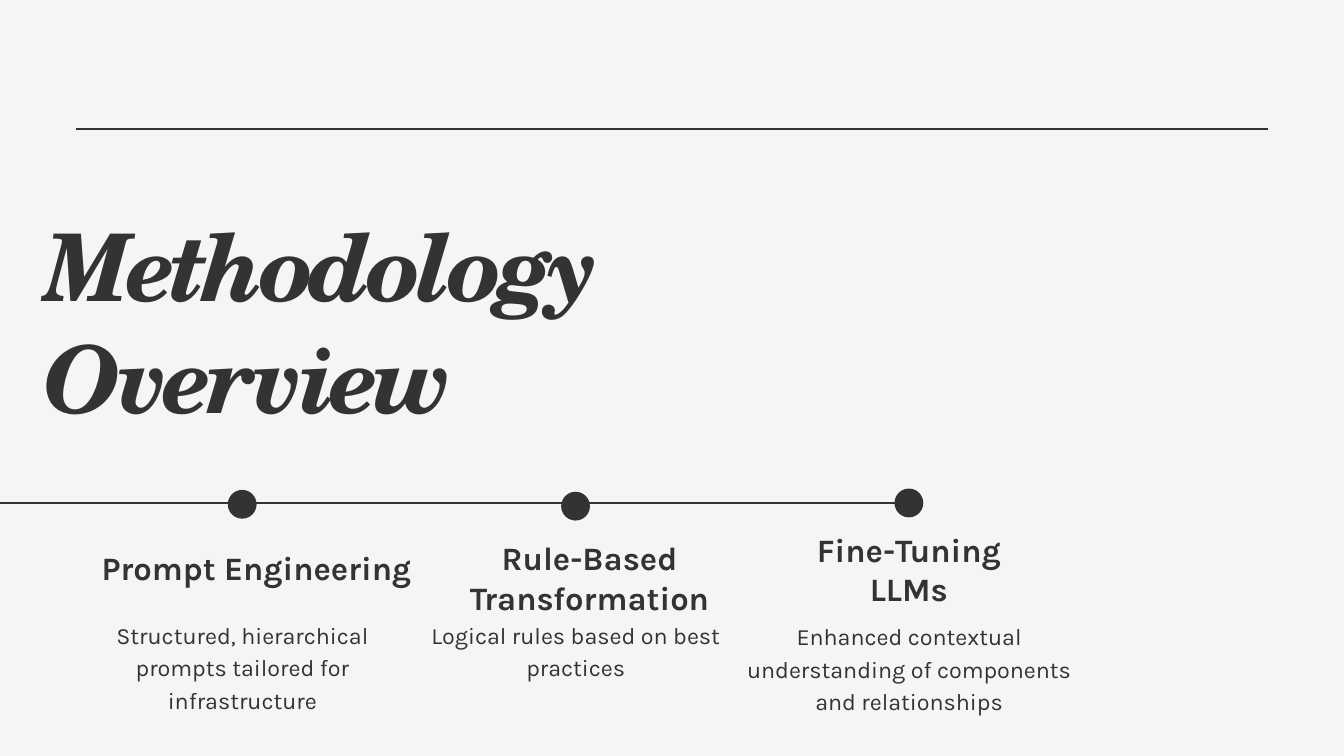
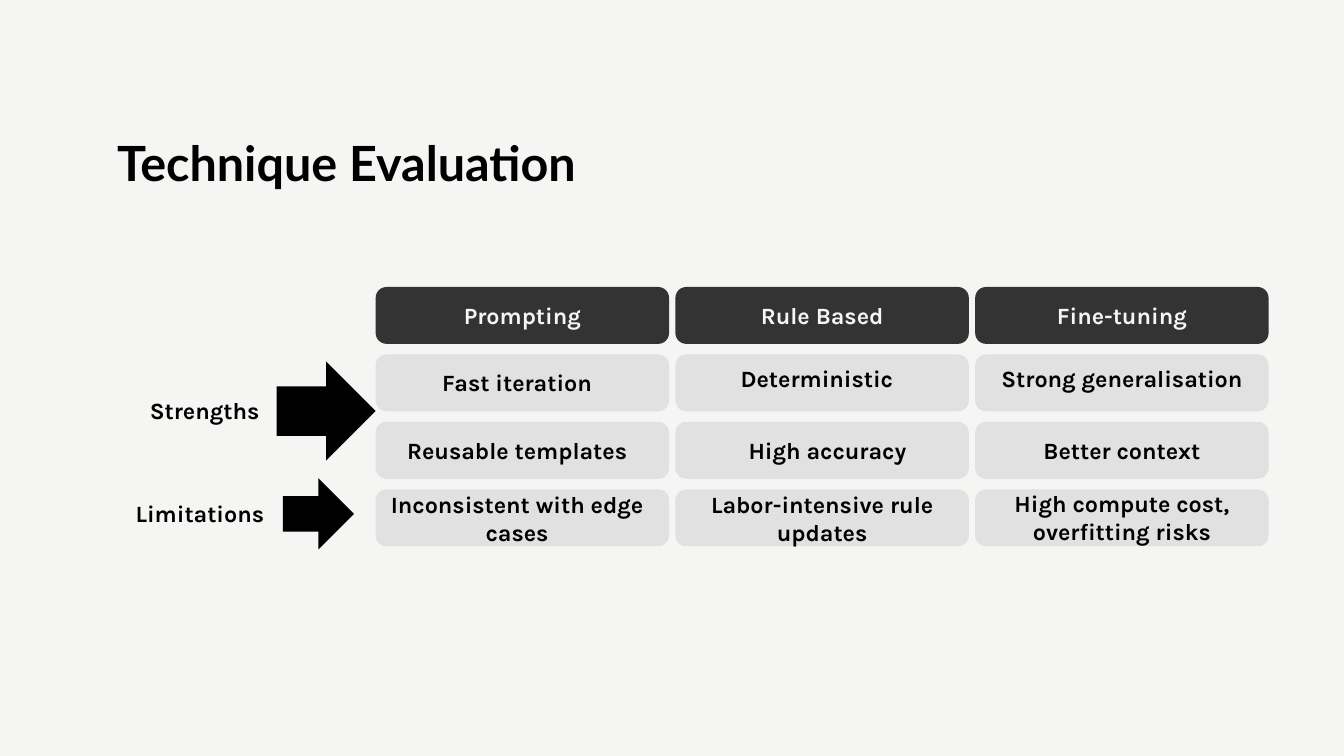
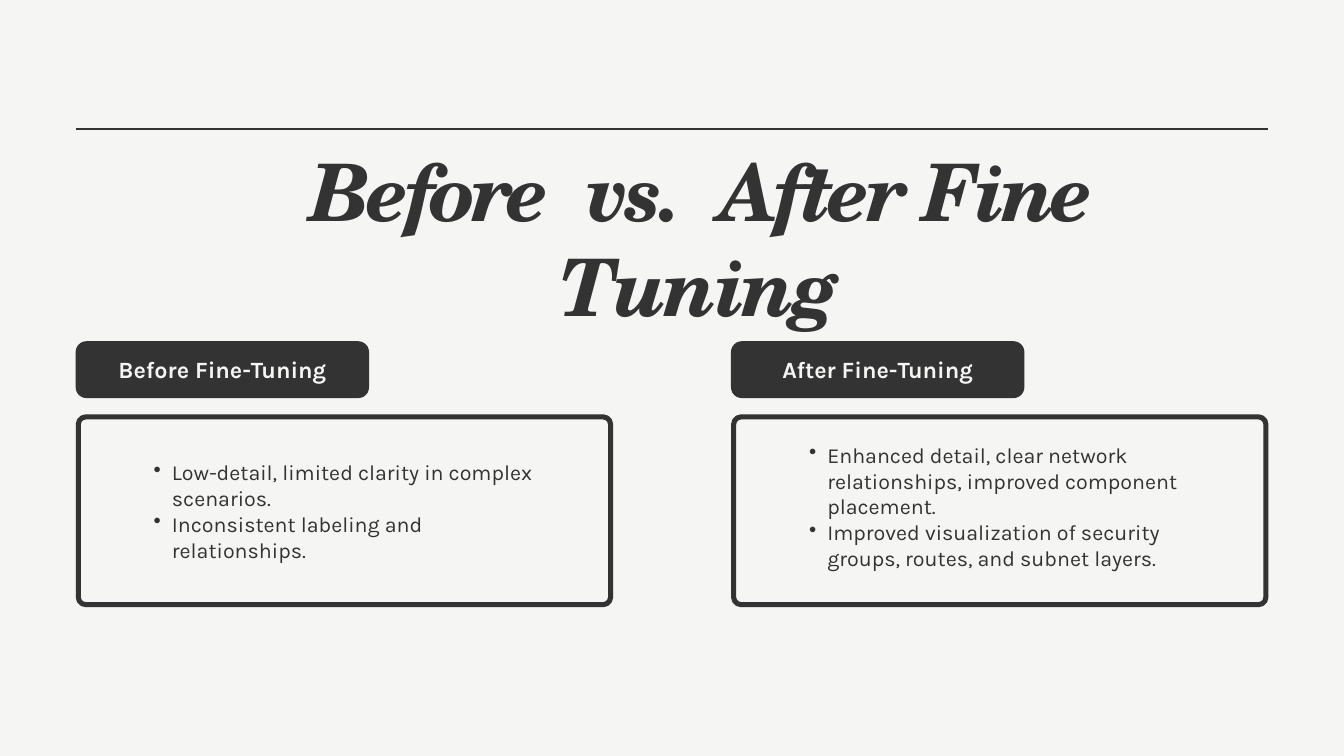
import pptx
import pptx.dml.color
import pptx.enum.shapes
import pptx.enum.text
import pptx.oxml.ns
import pptx.util
from lxml import etree
from pptx.dml.color import RGBColor
from pptx.enum.shapes import MSO_CONNECTOR, MSO_SHAPE
from pptx.enum.text import MSO_AUTO_SIZE, PP_ALIGN
from pptx.util import Cm, Pt

PAPER = RGBColor(0xF5, 0xF5, 0xF4)
INK = RGBColor(0x33, 0x33, 0x33)
CELL = RGBColor(0xE1, 0xE1, 0xE1)
BLACK = RGBColor(0, 0, 0)

SANS, PLAIN, SERIF = "Karla", "Lato", "TeX Gyre Schola"
MARGIN, RIGHT_EDGE, RULE_TOP = 2.86, 47.94, 4.87
PILL_WIDTH, PILL_HEIGHT = 11.09, 2.15
LABEL_WIDTH, LABEL_DX, LABEL_DY = 10.69, 0.2, 0.53


def add_slide(deck):
    page = deck.slides.add_slide(deck.slide_layouts[6])
    page.background.fill.solid()
    page.background.fill.fore_color.rgb = PAPER
    return page


def add_text(page, paragraphs, left, top, width, height, size, leading,
             font=SANS, color=INK, bold=False, italic=False, tracking=None,
             align=PP_ALIGN.CENTER, bullet=False):
    """Add a text box; each paragraph is a string or a list of (text, tracking)."""
    box = page.shapes.add_textbox(Cm(left), Cm(top), Cm(width), Cm(height))
    frame = box.text_frame
    frame.word_wrap = True
    frame.auto_size = MSO_AUTO_SIZE.SHAPE_TO_FIT_TEXT
    frame.margin_left = frame.margin_right = 0
    frame.margin_top = frame.margin_bottom = 0
    for index, content in enumerate(paragraphs):
        para = frame.add_paragraph() if index else frame.paragraphs[0]
        para.alignment = align
        para.line_spacing = Pt(leading)
        if bullet:
            add_bullet(para)
        spans = [(content, tracking)] if isinstance(content, str) else content
        for text, spacing in spans:
            span = para.add_run()
            span.text = text
            span.font.name = font
            span.font.size = Pt(size)
            span.font.bold = bold
            span.font.italic = italic
            span.font.color.rgb = color
            if spacing is not None:
                span._r.get_or_add_rPr().set("spc", str(round(spacing * 100)))


def add_bullet(para):
    para.level = 1
    properties = para._p.get_or_add_pPr()
    properties.set("marL", str(Cm(1.37)))
    properties.set("indent", str(Cm(-0.69)))
    mark = etree.SubElement(properties, pptx.oxml.ns.qn("a:buChar"))
    mark.set("char", "•")


def add_title(page, paragraphs, left, top, width, height, size, tracking, align):
    add_text(page, paragraphs, left, top, width, height, size, size * 1.2,
             font=SERIF, bold=True, italic=True, tracking=tracking, align=align)


def add_label(page, text, left, top, color=BLACK, height=1.07):
    add_text(page, [text], left, top, LABEL_WIDTH, height, 25, 30,
             color=color, bold=True)


def add_shape(page, kind, left, top, width, height, fill):
    shape = page.shapes.add_shape(kind, Cm(left), Cm(top), Cm(width), Cm(height))
    shape.shadow.inherit = False
    shape.fill.solid()
    shape.fill.fore_color.rgb = fill
    shape.line.fill.background()
    return shape


def add_pill(page, left, top, fill):
    pill = add_shape(page, MSO_SHAPE.ROUNDED_RECTANGLE, left, top,
                     PILL_WIDTH, PILL_HEIGHT, fill)
    pill.adjustments[0] = 0.19


def add_header(page, text, left, top):
    add_pill(page, left, top, INK)
    add_label(page, text, left + LABEL_DX, top + LABEL_DY, PAPER)


def add_panel(page, left, top, width, height):
    panel = add_shape(page, MSO_SHAPE.ROUNDED_RECTANGLE, left, top, width, height, PAPER)
    panel.adjustments[0] = 0.04
    panel.fill.background()
    panel.line.color.rgb = INK
    panel.line.width = Pt(5.4)


def add_rule(page, start, end, top):
    rule = page.shapes.add_connector(MSO_CONNECTOR.STRAIGHT,
                                     Cm(start), Cm(top), Cm(end), Cm(top))
    rule.line.color.rgb = INK
    rule.line.width = Pt(2.25)
    etree.SubElement(rule._element.spPr, pptx.oxml.ns.qn("a:effectLst"))


def build_methodology(deck):
    page = add_slide(deck)
    add_rule(page, MARGIN, RIGHT_EDGE, RULE_TOP)
    add_title(page, ["Methodology", "Overview"], 1.65, 7.87, 21.08, 8.38,
              100, -4.9, PP_ALIGN.LEFT)

    step = 12.6
    add_rule(page, -step, 34.34, 19.02)
    # heading lines, heading left, top and width, dot top, description, its top
    stages = [
        (["Prompt Engineering"], 3.4, 20.73, 12.6, 18.52,
         "Structured, hierarchical prompts tailored for infrastructure", 23.29),
        (["Rule-Based", "Transformation"], 13.79, 20.35, 16.99, 18.59,
         "Logical rules based on best practices", 23.29),
        (["Fine-Tuning LLMs"], 29.95, 20.02, 8.81, 18.47,
         "Enhanced contextual understanding of components and relationships", 23.34),
    ]
    for index, (heading, left, top, width, dot_top, body, body_top) in enumerate(stages):
        offset = index * step
        add_shape(page, MSO_SHAPE.OVAL, 8.61 + offset, dot_top, 1.09, 1.09, INK)
        add_text(page, heading, left, top, width, 3.02, 35, 42, bold=True)
        add_text(page, [body], MARGIN + offset, body_top, step, 3.63, 25, 35)


def build_evaluation(deck):
    page = add_slide(deck)
    add_text(page, ["Technique Evaluation"], 3.05, 4.67, 20.09, 2.46, 52, 72.8,
             font=PLAIN, color=BLACK, bold=True)

    grid_left, grid_top, column_step, row_step = 14.2, 10.85, 11.33, 2.55
    # each cell: text, then the label's offset from its pill
    columns = [
        ("Prompting", [("Fast iteration", 0, 0.53),
                       ("Reusable templates", 0, 0.53),
                       ("Inconsistent with edge cases", 0, 0.05)]),
        ("Rule Based", [("Deterministic", 0, 0.35),
                        ("High accuracy", 0.4, 0.53),
                        ("Labor-intensive rule updates", 0.2, 0.05)]),
        ("Fine-tuning", [("Strong generalisation", 0.2, 0.35),
                         ("Better context", 0.2, 0.53),
                         ("High compute cost, overfitting risks", 0.2, 0)]),
    ]
    for column, (header, cells) in enumerate(columns):
        left = grid_left + column * column_step
        add_header(page, header, left, grid_top)
        for row, (text, dx, dy) in enumerate(cells, start=1):
            top = grid_top + row * row_step
            add_pill(page, left, top, CELL)
            add_label(page, text, left + dx, top + dy,
                      height=2.08 if row == 3 else 1.07)

    for text, left, top, arrow_left, arrow_top, arrow_size in [
        ("Strengths", 2.39, 14.96, 10.46, 13.67, 3.74),
        ("Limitations", 2.21, 18.87, 10.69, 18.08, 2.69),
    ]:
        add_label(page, text, left, top)
        add_shape(page, MSO_SHAPE.RIGHT_ARROW, arrow_left, arrow_top,
                  arrow_size, arrow_size, BLACK)


def build_comparison(deck):
    page = add_slide(deck)
    add_rule(page, MARGIN, RIGHT_EDGE, RULE_TOP)
    tight, wide = -4.2, 15.2
    title = [("Before", tight), (" ", wide), ("vs.", tight), (" ", wide),
             ("After Fine Tuning", tight)]
    add_title(page, [title], 6.48, 5.36, 39.95, 3.58, 85, tight, PP_ALIGN.CENTER)

    sides = [
        ("Before Fine-Tuning", 17.37,
         ["Low-detail, limited clarity in complex scenarios.",
          "Inconsistent labeling and relationships."]),
        ("After Fine-Tuning", 16.71,
         ["Enhanced detail, clear network relationships, improved component placement.",
          "Improved visualization of security groups, routes, and subnet layers."]),
    ]
    for index, (header, list_top, points) in enumerate(sides):
        left = MARGIN + index * 24.77
        add_header(page, header, left, 12.9)
        add_panel(page, left + 0.1, 15.76, 20.12, 7.1)
        add_text(page, points, left + 2.27, list_top, 15.75, 5.74, 23, 27.6,
                 align=PP_ALIGN.LEFT, bullet=True)


def main():
    deck = pptx.Presentation()
    deck.slide_width, deck.slide_height = Cm(50.8), Cm(28.58)
    build_methodology(deck)
    build_evaluation(deck)
    build_comparison(deck)
    deck.save("out.pptx")


if __name__ == "__main__":
    main()
